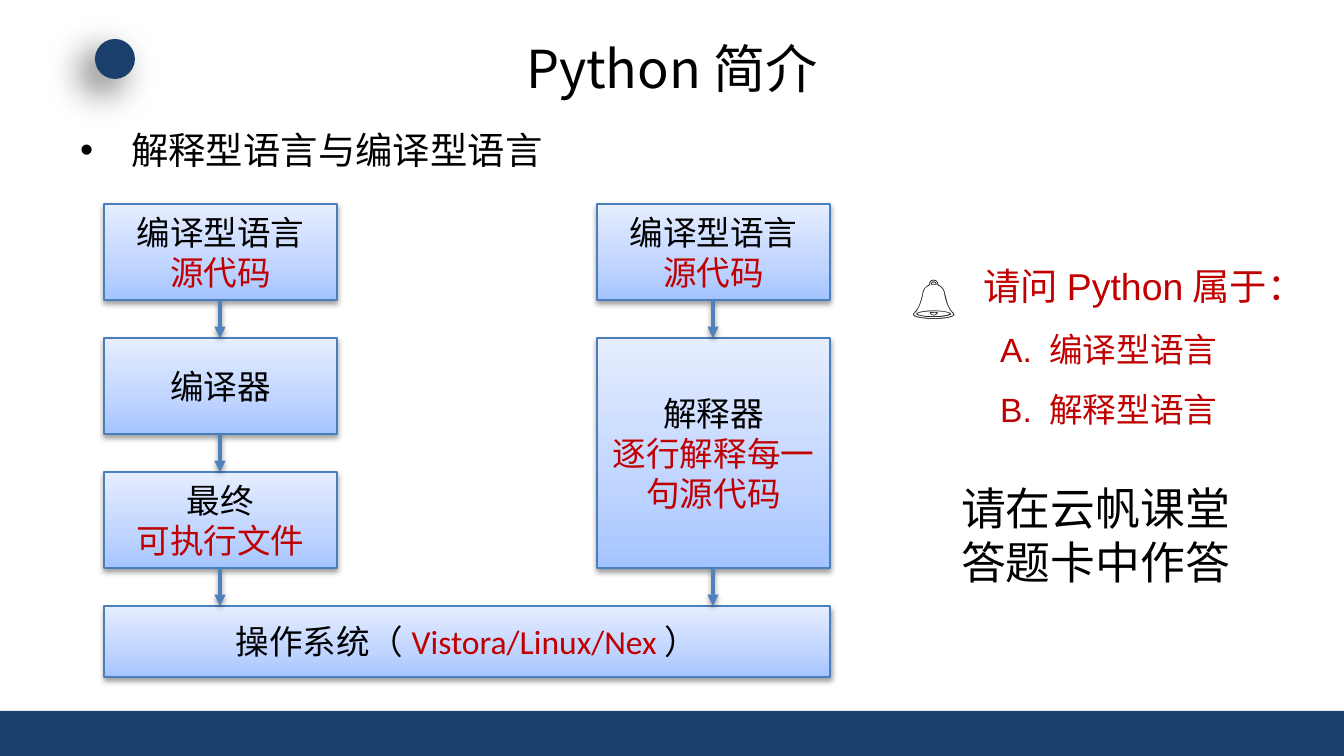
from copy import deepcopy

from lxml import etree
from pptx import Presentation
from pptx.dml.color import RGBColor
from pptx.enum.shapes import MSO_CONNECTOR, MSO_SHAPE
from pptx.enum.text import MSO_ANCHOR, PP_ALIGN
from pptx.oxml.ns import qn
from pptx.util import Emu, Pt

RECT, OVAL = MSO_SHAPE.RECTANGLE, MSO_SHAPE.OVAL
STRAIGHT = MSO_CONNECTOR.STRAIGHT
TOP, MIDDLE = MSO_ANCHOR.TOP, MSO_ANCHOR.MIDDLE
LEFT, CENTER = PP_ALIGN.LEFT, PP_ALIGN.CENTER
PX = 914400 / 134.4

THEME = {
    "navy": "1A3F6C", "black": "000000", "red": "C00000",
    "border": "4B7EBC", "arrow": "4F81BD",
    "gradient": [(0, "A4C4FF"), (0.35, "BFD4FF"), (1, "E6EEFF")],
    "cjk": "Noto Sans CJK SC", "box_font": "Calibri", "note_font": "Arial",
    "title": 28, "prompt": 24, "body": 20, "label": 18,
}


def add_text(tf, runs, font, size, align=LEFT, anchor=TOP, wrap=True,
             new=False, spacing=None, indent=0, bullet=None):
    tf.word_wrap = wrap
    tf.vertical_anchor = anchor
    p = tf.add_paragraph() if new else tf.paragraphs[0]
    p.alignment = align
    p.line_spacing = spacing
    pPr = p._p.get_or_add_pPr()
    pPr.set("marL", str(int(indent * PX)))
    if bullet:
        pPr.set("indent", str(int(-indent * PX)))
        etree.SubElement(pPr, qn("a:buFont"), typeface="Arial")
        etree.SubElement(pPr, qn("a:buChar"), char=bullet)
    for text, color in runs:
        r = p.add_run()
        r.text = text
        r.font.name = font
        r.font.size = Pt(size)
        r.font.color.rgb = RGBColor.from_string(THEME[color])
        latin = r._r.rPr.find(qn("a:latin"))
        latin.addnext(latin.makeelement(qn("a:ea"), typeface=THEME["cjk"]))


def add_shadow(s, alpha, blur, dist, angle):
    effects = etree.SubElement(s._element.spPr, qn("a:effectLst"))
    outer = etree.SubElement(
        effects, qn("a:outerShdw"), blurRad=str(Pt(blur)), dist=str(Pt(dist)),
        dir=str(angle * 60000), algn="ctr", rotWithShape="0")
    color = etree.SubElement(outer, qn("a:srgbClr"), val=THEME["black"])
    etree.SubElement(color, qn("a:alpha"), val=str(alpha * 1000))


prs = Presentation()
prs.slide_width, prs.slide_height = Emu(int(1344 * PX)), Emu(int(756 * PX))
slide = prs.slides.add_slide(prs.slide_layouts[5])
shapes = slide.shapes

title = shapes.title
title.left, title.top, title.width, title.height = [
    Emu(int(v * PX)) for v in (67, 31, 1210, 74)]
add_text(title.text_frame, [("Python简介", "black")], THEME["cjk"],
         THEME["title"], align=CENTER, anchor=MIDDLE)

for kind, frame in [(RECT, (0, 711, 1344, 45)), (OVAL, (95, 39, 40, 40))]:
    s = shapes.add_shape(kind, *[Emu(int(v * PX)) for v in frame])
    s.fill.solid()
    s.fill.fore_color.rgb = RGBColor.from_string(THEME["navy"])
    s.line.fill.background()
    if kind == OVAL:
        add_shadow(s, 60, 20, 10, 135)
    else:
        s.shadow.inherit = False

left_x, right_x, top_y, step = 104, 597, 204, 134
box_w, box_h = 233, 96
source = [[("编译型语言", "black")], [("源代码", "red")]]
boxes = [
    (left_x, 0, box_w, box_h, source),
    (right_x, 0, box_w, box_h, source),
    (left_x, 1, box_w, box_h, [[("编译器", "black")]]),
    (left_x, 2, box_w, box_h, [[("最终", "black")], [("可执行文件", "red")]]),
    (left_x, 3, right_x + box_w - left_x, 71,
     [[("操作系统（", "black"), ("Vistora/Linux/Nex", "red"), ("）", "black")]]),
    (right_x, 1, box_w, step + box_h,
     [[("解释器", "black")], [("逐行解释每一句源代码", "red")]]),
]
for x, row, w, h, lines in boxes:
    frame = (x, top_y + row * step, w, h)
    s = shapes.add_shape(RECT, *[Emu(int(v * PX)) for v in frame])
    s.fill.gradient()
    s.fill.gradient_angle = 90
    stops = s._element.spPr.find(".//" + qn("a:gsLst"))
    stops.insert(1, deepcopy(stops[0]))
    for stop, (position, color) in zip(s.fill.gradient_stops, THEME["gradient"]):
        stop.position = position
        stop.color.rgb = RGBColor.from_string(color)
    s.line.color.rgb = RGBColor.from_string(THEME["border"])
    s.line.width = Pt(0.75)
    add_shadow(s, 38, 3.1, 1.6, 90)
    for i, runs in enumerate(lines):
        add_text(s.text_frame, runs, THEME["box_font"], THEME["label"],
                 align=CENTER, anchor=MIDDLE, new=i > 0)

for x, row in [(left_x, 0), (left_x, 1), (left_x, 2), (right_x, 0), (right_x, 2)]:
    center = x + box_w // 2
    start = top_y + row * step + box_h
    ends = (center, start, center, top_y + (row + 1) * step)
    c = shapes.add_connector(STRAIGHT, *[Emu(int(v * PX)) for v in ends])
    c.line.color.rgb = RGBColor.from_string(THEME["arrow"])
    c.line.width = Pt(2)
    etree.SubElement(c._element.spPr.find(qn("a:ln")), qn("a:tailEnd"), type="triangle")
    add_shadow(c, 38, 3.1, 1.6, 90)

option = {"size": THEME["label"], "new": True, "spacing": 1.5, "indent": 17}
notes = [
    ((67, 121, 1210, 65), True, THEME["cjk"], [
        ("解释型语言与编译型语言", "black",
         {"size": THEME["body"], "indent": 51, "bullet": "•"})]),
    ((970, 257, 333, 173), False, THEME["note_font"], [
        ("请问Python属于：", "red", {"size": THEME["body"]}),
        ("A. 编译型语言", "red", option),
        ("B. 解释型语言", "red", option)]),
    ((948, 474, 337, 122), True, THEME["note_font"], [
        ("请在云帆课堂答题卡中作答", "black", {"size": THEME["prompt"]})]),
    ((898, 257, 94, 77), False, THEME["note_font"], [
        ("🔔", "black", {"size": THEME["title"]})]),
]
for frame, wrap, font, paragraphs in notes:
    s = shapes.add_textbox(*[Emu(int(v * PX)) for v in frame])
    for text, color, style in paragraphs:
        add_text(s.text_frame, [(text, color)], font, wrap=wrap, **style)

prs.save("out.pptx")
